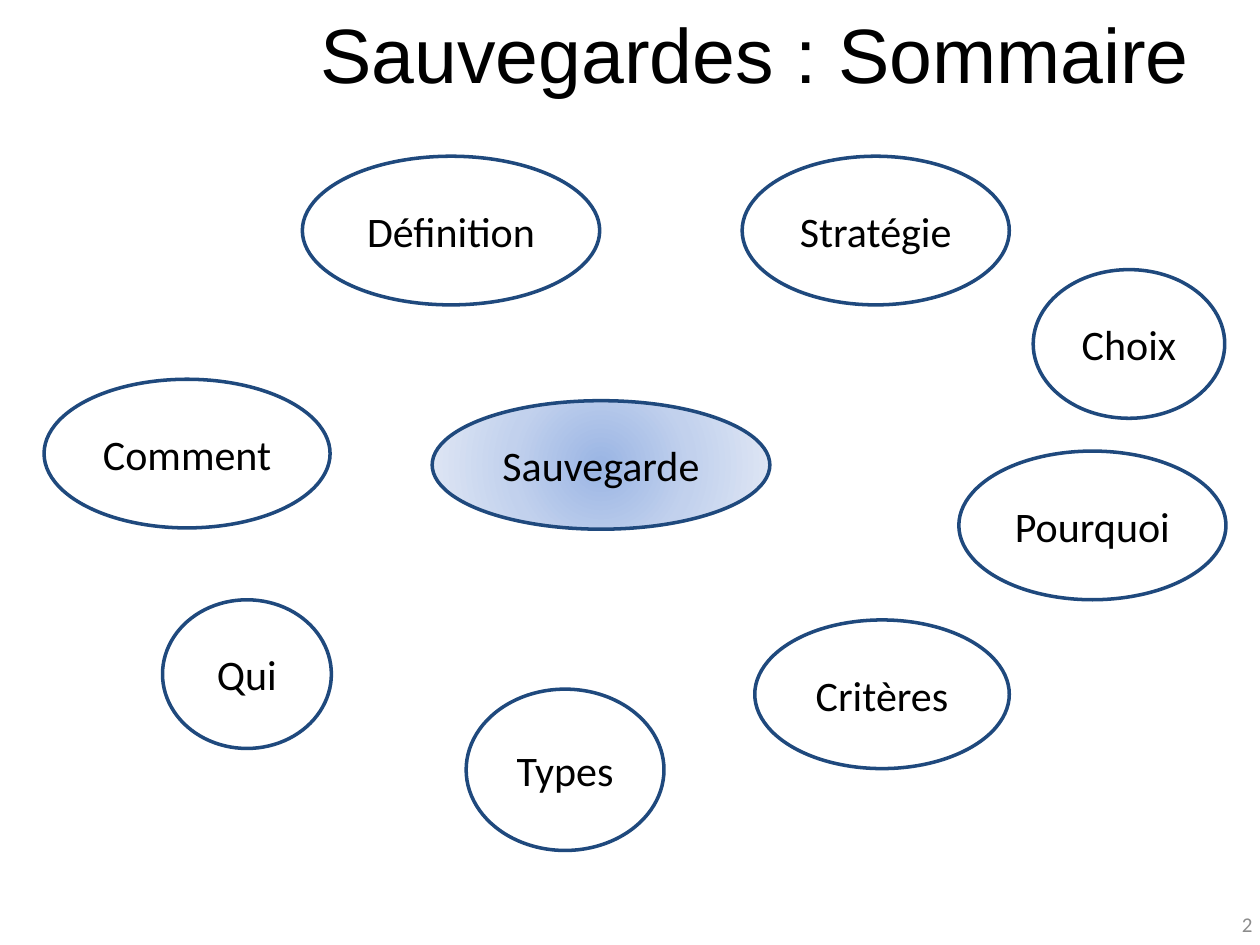
from dataclasses import dataclass

from lxml.etree import SubElement
from pptx import Presentation
from pptx.dml.color import RGBColor
from pptx.enum.shapes import MSO_SHAPE
from pptx.enum.text import MSO_ANCHOR, PP_ALIGN
from pptx.oxml.ns import qn
from pptx.util import Inches, Pt

WIDTH, HEIGHT = Inches(10), Inches(7.5)
BLACK = RGBColor(0x00, 0x00, 0x00)
GREY = RGBColor(0x8C, 0x8C, 0x8C)
NAVY = RGBColor(0x1F, 0x49, 0x7D)
GLOW = (
    (0, RGBColor(0x9A, 0xB5, 0xE4)),
    (50, RGBColor(0xC2, 0xD1, 0xED)),
    (100, RGBColor(0xE1, 0xE8, 0xF5)),
)


@dataclass(frozen=True)
class Area:
    """A rectangle in percent of the slide's width and height."""
    left: float
    top: float
    width: float
    height: float = 15.73

    def lengths(self) -> tuple[int, int, int, int]:
        return (int(WIDTH * self.left / 100), int(HEIGHT * self.top / 100),
                int(WIDTH * self.width / 100), int(HEIGHT * self.height / 100))


@dataclass(frozen=True)
class Topic:
    label: str
    area: Area
    glowing: bool = False


TOPICS = (
    Topic("Sauvegarde", Area(34.3, 42.4, 26.8, 13.6), glowing=True),
    Topic("Choix", Area(82, 28.53, 15.2)),
    Topic("Critères", Area(59.9, 65.6, 20.2)),
    Topic("Types", Area(37, 72.93, 15.7, 17.07)),
    Topic("Comment", Area(3.5, 40.13, 22.7)),
    Topic("Qui", Area(12.9, 63.47, 13.4)),
    Topic("Stratégie", Area(58.9, 16.53, 21.2)),
    Topic("Définition", Area(24, 16.53, 23.6)),
    Topic("Pourquoi", Area(76.1, 47.73, 21.2)),
)


def write(box, text: str, size: int, font: str = "Calibri",
          color: RGBColor = BLACK, align=PP_ALIGN.CENTER,
          anchor=MSO_ANCHOR.MIDDLE) -> None:
    frame = box.text_frame
    frame.word_wrap = True
    frame.vertical_anchor = anchor
    para = frame.paragraphs[0]
    para.alignment = align
    span = para.add_run()
    span.text = text
    span.font.size = Pt(size)
    span.font.name = font
    span.font.color.rgb = color


def fill_from_centre(shape) -> None:
    """Fill with a circular gradient that starts in the middle."""
    shape.fill.gradient()
    gradient = shape._element.spPr.find(qn("a:gradFill"))
    for child in list(gradient):
        gradient.remove(child)
    stops = SubElement(gradient, qn("a:gsLst"))
    for position, color in GLOW:
        stop = SubElement(stops, qn("a:gs"), pos=str(position * 1000))
        SubElement(stop, qn("a:srgbClr"), val=str(color))
    circle = SubElement(gradient, qn("a:path"), path="circle")
    SubElement(circle, qn("a:fillToRect"),
               {side: "50000" for side in "ltrb"})


def draw_topic(page, topic: Topic) -> None:
    oval = page.shapes.add_shape(MSO_SHAPE.OVAL, *topic.area.lengths())
    oval.shadow.inherit = False
    if topic.glowing:
        fill_from_centre(oval)
    else:
        oval.fill.background()
    oval.line.color.rgb = NAVY
    oval.line.width = Pt(2)
    write(oval, topic.label, 24)


def main() -> None:
    deck = Presentation()
    deck.slide_width, deck.slide_height = WIDTH, HEIGHT
    page = deck.slides.add_slide(deck.slide_layouts[6])

    # Topics around the central idea
    for topic in TOPICS:
        draw_topic(page, topic)

    # Title
    title = page.shapes.add_textbox(*Area(20.1, 0, 79.7, 13.6).lengths())
    write(title, "Sauvegardes : Sommaire", 44, font="Arial",
          anchor=MSO_ANCHOR.TOP)

    # Page number
    number = page.shapes.add_textbox(*Area(77.1, 95.07, 23.3, 5.33).lengths())
    write(number, "2", 12, color=GREY, align=PP_ALIGN.RIGHT)

    deck.save("out.pptx")


if __name__ == "__main__":
    main()
